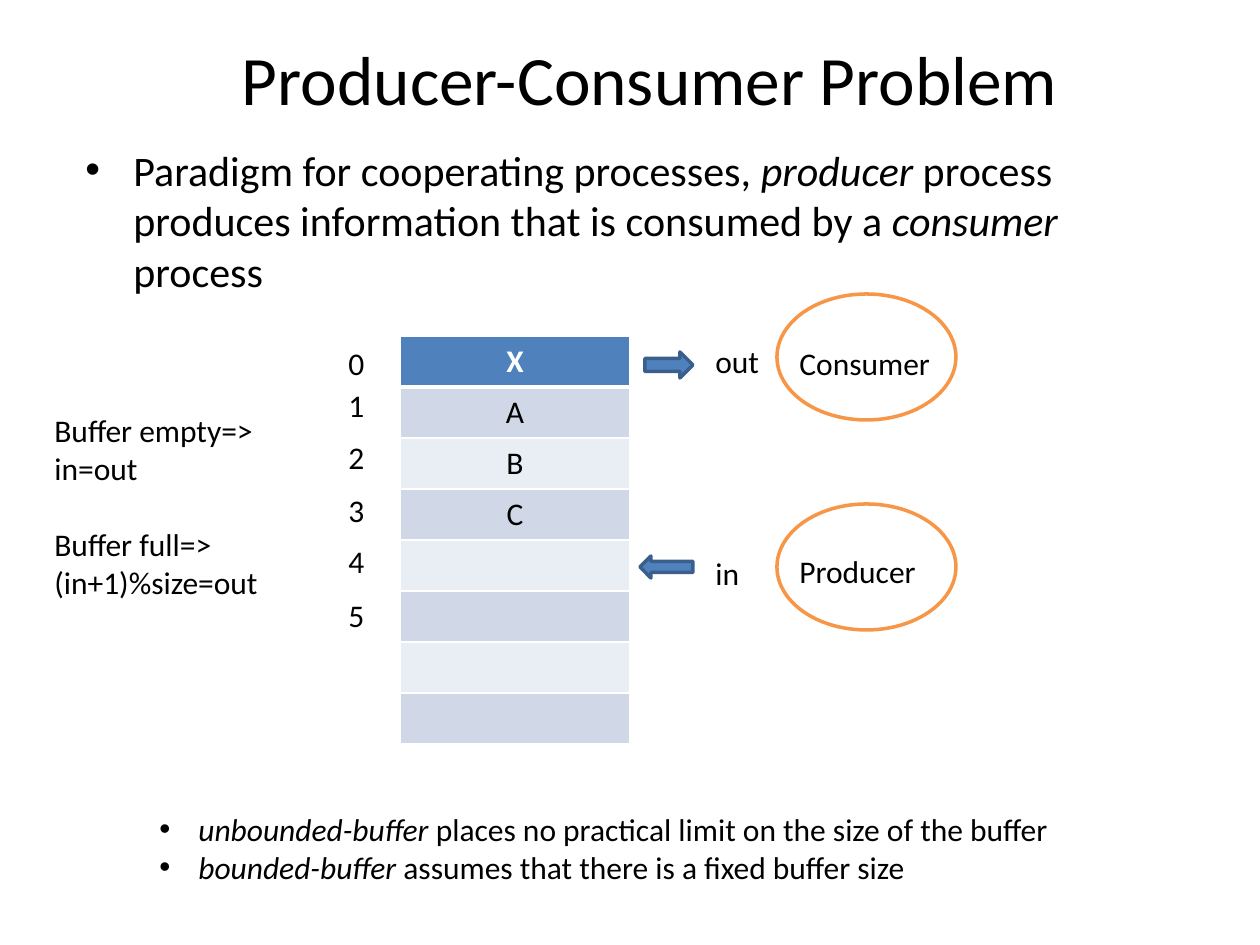
import pptx
import pptx.util
import pptx.dml.color
import pptx.enum.shapes
import pptx.enum.text
import pptx.oxml
import pptx.oxml.ns
import lxml.etree

BLACK = pptx.dml.color.RGBColor(0x00, 0x00, 0x00)
WHITE = pptx.dml.color.RGBColor(0xFF, 0xFF, 0xFF)
BLUE = pptx.dml.color.RGBColor(0x4F, 0x81, 0xBD)
DARK_BLUE = pptx.dml.color.RGBColor(0x3A, 0x5F, 0x8C)
ORANGE = pptx.dml.color.RGBColor(0xF7, 0x96, 0x46)
BAND_DARK = pptx.dml.color.RGBColor(0xD0, 0xD8, 0xE8)
BAND_LIGHT = pptx.dml.color.RGBColor(0xE9, 0xED, 0xF4)

EMU_PER_PX = 914400 / 126
CENTER = pptx.enum.text.PP_ALIGN.CENTER
SHAPES = pptx.enum.shapes.MSO_SHAPE


def px(*lengths):
    return [pptx.util.Emu(round(length * EMU_PER_PX)) for length in lengths]


def write(frame, paragraphs, size=18, color=BLACK, bold=False, align=None, bullet=None):
    """Fill a frame; a paragraph is a list of runs, and *run* is italic."""
    frame.word_wrap = True
    for index, runs in enumerate(paragraphs):
        paragraph = frame.paragraphs[0] if index == 0 else frame.add_paragraph()
        paragraph.alignment = align
        if bullet:
            left, hanging = px(*bullet)
            properties = paragraph._p.get_or_add_pPr()
            properties.set("marL", str(left))
            properties.set("indent", str(-hanging))
            for tag, key, value in (("a:buFont", "typeface", "Arial"), ("a:buChar", "char", "•")):
                lxml.etree.SubElement(properties, pptx.oxml.ns.qn(tag)).set(key, value)
        for text in runs:
            run = paragraph.add_run()
            run.text = text.strip("*")
            style = {"name": "Calibri", "size": pptx.util.Pt(size),
                     "bold": bold, "italic": text.startswith("*")}
            for attribute, value in style.items():
                setattr(run.font, attribute, value)
            run.font.color.rgb = color


deck = pptx.Presentation()
deck.slide_width, deck.slide_height = px(1260, 945)
slide = deck.slides.add_slide(deck.slide_layouts[6])

# Title
title = slide.shapes.add_textbox(*px(103, 38, 1094, 79)).text_frame
title.vertical_anchor = pptx.enum.text.MSO_ANCHOR.MIDDLE
write(title, [["Producer-Consumer Problem"]], size=39.6, align=CENTER)

# Opening statement
paradigm = slide.shapes.add_textbox(*px(73, 138, 1134, 698)).text_frame
paradigm.margin_right = px(20)[0]
write(paradigm, [["Paradigm for cooperating processes, ", "*producer*",
                  " process produces information that is consumed by a ",
                  "*consumer*", " process"]], size=24, bullet=(48, 48))

# Buffer slots
slots = ["X", "A", "B", "C", "", "", "", ""]
buffer = slide.shapes.add_table(len(slots), 1, *px(400, 336, 230, 51 * len(slots))).table
for row, content in enumerate(slots):
    cell = buffer.cell(row, 0)
    header = row == 0
    cell.fill.solid()
    cell.fill.fore_color.rgb = BLUE if header else (BAND_LIGHT, BAND_DARK)[row % 2]
    write(cell.text_frame, [[content]], color=WHITE if header else BLACK,
          bold=header, align=CENTER)
    edges = {"L": 1, "R": 1, "T": 3 if row == 1 else 1, "B": 3 if header else 1}
    for position, (edge, points) in enumerate(edges.items()):
        border = pptx.oxml.parse_xml(
            f'<a:ln{edge} {pptx.oxml.ns.nsdecls("a")} w="{pptx.util.Pt(points)}">'
            f'<a:solidFill><a:srgbClr val="{WHITE}"/></a:solidFill></a:ln{edge}>')
        cell._tc.get_or_add_tcPr().insert(position, border)

# Process ellipses and pointer arrows
figures = [
    (SHAPES.OVAL, (777, 294, 179, 126), WHITE, ORANGE),
    (SHAPES.OVAL, (777, 504, 179, 126), WHITE, ORANGE),
    (SHAPES.RIGHT_ARROW, (645, 352, 48, 26), BLUE, DARK_BLUE),
    (SHAPES.LEFT_ARROW, (640, 556, 53, 22), BLUE, DARK_BLUE),
]
for kind, box, fill, outline in figures:
    figure = slide.shapes.add_shape(kind, *px(*box))
    figure.shadow.inherit = False
    figure.fill.solid()
    figure.fill.fore_color.rgb = fill
    figure.line.color.rgb = outline
    figure.line.width = pptx.util.Pt(2)

# Slot numbers and labels: text, left, top, width
labels = [("out", 703, 336, 73), ("in", 703, 548, 73),
          ("Consumer", 787, 338, 158), ("Producer", 787, 546, 189)]
for number, top in enumerate((338, 380, 432, 485, 536, 590)):
    labels.append((str(number), 336, top, 42))
for text, left, top, width in labels:
    label = slide.shapes.add_textbox(*px(left, top, width, 51))
    write(label.text_frame, [[text]])

# Buffer kinds
kinds = slide.shapes.add_textbox(*px(84, 804, 1040, 89)).text_frame
write(kinds, [["*unbounded-buffer*", " places no practical limit on the size of the buffer"],
              ["*bounded-buffer*", " assumes that there is a fixed buffer size"]],
      bullet=(102, 39))

# Empty and full conditions
conditions = slide.shapes.add_textbox(*px(42, 405, 252, 242)).text_frame
write(conditions, [["Buffer empty=> in=out"], ["Buffer full=>"], ["(in+1)%size=out"]])
conditions.paragraphs[1].space_before = pptx.util.Pt(22)

deck.save("out.pptx")
